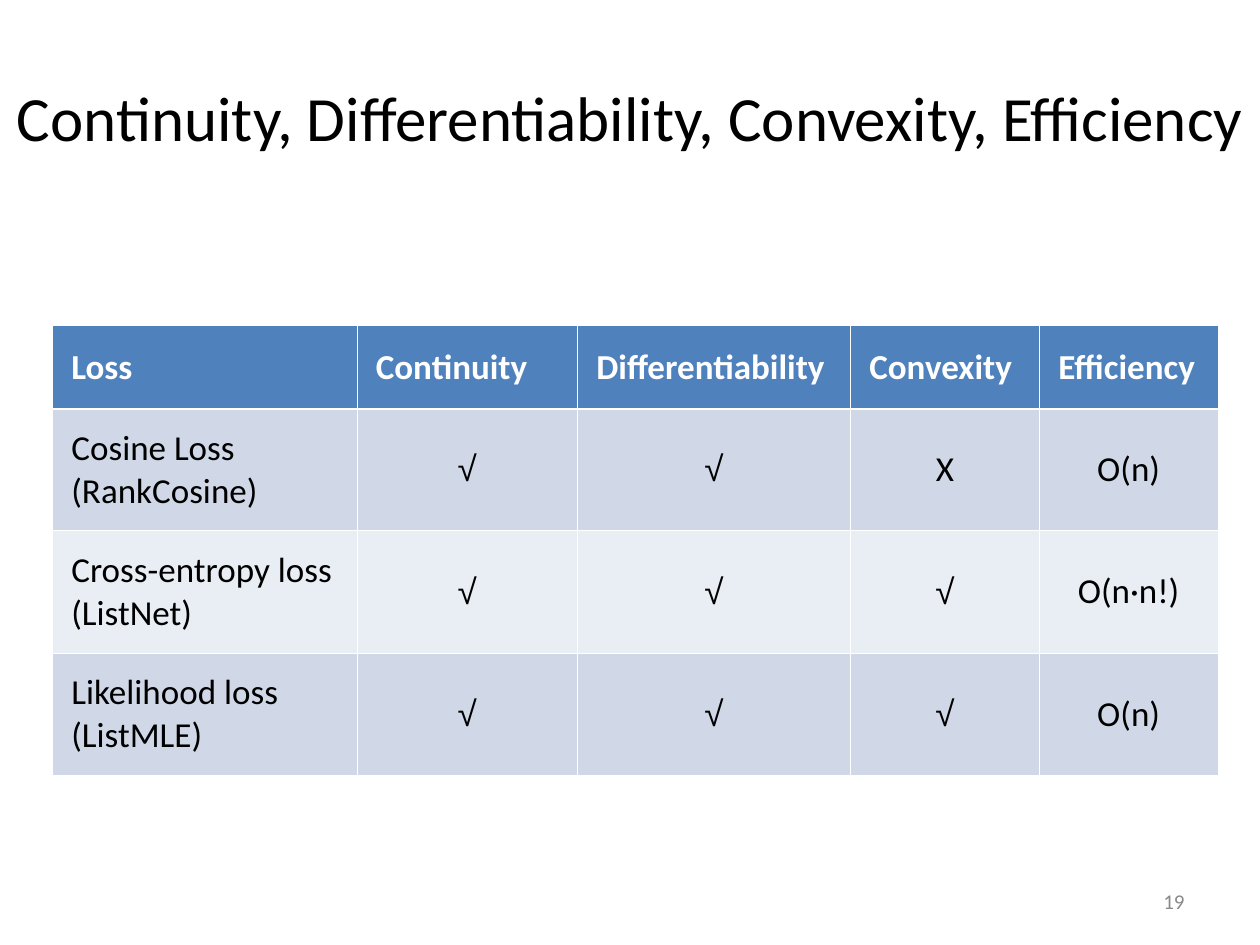
from lxml import etree
from pptx import Presentation
from pptx.dml.color import RGBColor
from pptx.enum.text import MSO_ANCHOR, MSO_AUTO_SIZE, PP_ALIGN
from pptx.oxml.ns import qn
from pptx.util import Inches, Pt

MIDDLE = MSO_ANCHOR.MIDDLE
NO_FIT = MSO_AUTO_SIZE.NONE
LEFT, CENTER, RIGHT = PP_ALIGN.LEFT, PP_ALIGN.CENTER, PP_ALIGN.RIGHT
TITLE_ONLY = 5
COLORS = {
    "ink": "000000", "white": "FFFFFF", "muted": "898989",
    "header": "4F81BD", "odd": "D0D8E8", "even": "E9EDF4",
}
CELL_FORMAT = {
    "vertical_anchor": MIDDLE,
    "margin_left": Inches(0.15), "margin_right": Inches(0.15),
    "margin_top": Inches(0.05), "margin_bottom": Inches(0.05),
}
THIN, THICK = 0.45, 1.47
COLUMNS = [29, 21, 26, 18, 17]
ROWS = [7.92, 11.64, 11.64, 11.64]
LOSSES = [
    ["Loss", "Continuity", "Differentiability", "Convexity", "Efficiency"],
    ["Cosine Loss\v(RankCosine)", "√", "√", "X", "O(n)"],
    ["Cross-entropy loss\n(ListNet)", "√", "√", "√", "O(n·n!)"],
    ["Likelihood loss\n(ListMLE)", "√", "√", "√", "O(n)"],
]


def set_all(target, values):
    for name, value in values.items():
        setattr(target, name, value)


class SlideBuilder:
    """Places elements on a grid of 12 units to the inch."""

    def __init__(self, deck):
        self.page = deck.slides.add_slide(deck.slide_layouts[TITLE_ONLY])

    def units(self, *counts):
        return [Inches(count / 12) for count in counts]

    def place(self, shape, *area):
        names = ("left", "top", "width", "height")
        set_all(shape, dict(zip(names, self.units(*area))))

    def fill_text(self, frame, text, size, color="ink", align=LEFT, bold=False, font="Calibri"):
        frame.text = text
        for para in frame.paragraphs:
            para.alignment = align
            for span in para.runs:
                set_all(span.font, {"size": Pt(size), "bold": bold, "name": font})
                span.font.color.rgb = RGBColor.from_string(COLORS[color])

    def title(self, text, area):
        shape = self.page.shapes.title
        self.place(shape, *area)
        set_all(shape.text_frame, {
            "word_wrap": True, "auto_size": NO_FIT, "vertical_anchor": MIDDLE,
            "margin_left": 0, "margin_right": 0,
        })
        self.fill_text(shape.text_frame, text, 36, align=CENTER)

    def page_number(self, text, area):
        box = self.page.shapes.add_textbox(*self.units(*area))
        set_all(box.text_frame, {"word_wrap": True, "vertical_anchor": MIDDLE})
        self.fill_text(box.text_frame, text, 12, "muted", RIGHT)

    def border(self, cell, widths):
        """Draw white lines in the order left, right, top, bottom."""
        properties = cell._tc.get_or_add_tcPr()
        for index, (side, width) in enumerate(zip("LRTB", widths)):
            line = etree.Element(qn(f"a:ln{side}"), w=str(Pt(width)))
            fill = etree.SubElement(line, qn("a:solidFill"))
            etree.SubElement(fill, qn("a:srgbClr"), val=COLORS["white"])
            properties.insert(index, line)

    def table(self, rows, left, top, widths, heights):
        area = self.units(left, top, sum(widths), sum(heights))
        table = self.page.shapes.add_table(len(rows), len(widths), *area).table
        for column, width in zip(table.columns, self.units(*widths)):
            column.width = width
        for row, height in zip(table.rows, self.units(*heights)):
            row.height = height
        for r, texts in enumerate(rows):
            for c, text in enumerate(texts):
                self.cell(table.cell(r, c), text, r, c)

    def cell(self, cell, text, row, column):
        header = row == 0
        fill = "header" if header else "odd" if row % 2 else "even"
        set_all(cell, CELL_FORMAT)
        cell.fill.solid()
        cell.fill.fore_color.rgb = RGBColor.from_string(COLORS[fill])
        self.fill_text(
            cell.text_frame, text, 20,
            color="white" if header else "ink",
            align=LEFT if header or column == 0 else CENTER,
            bold=header,
            font="Arial" if text == "√" else "Calibri",
        )
        top = THICK if row == 1 else THIN
        bottom = THICK if header else THIN
        self.border(cell, (THIN, THIN, top, bottom))


def main():
    deck = Presentation()
    deck.slide_width, deck.slide_height = Inches(10), Inches(7.5)
    slide = SlideBuilder(deck)
    slide.title("Continuity, Differentiability, Convexity, Efficiency", (0, 3.6, 120, 15))
    slide.table(LOSSES, 5, 31, COLUMNS, ROWS)
    slide.page_number("19", (86, 83.4, 28, 4.8))
    deck.save("out.pptx")


if __name__ == "__main__":
    main()
